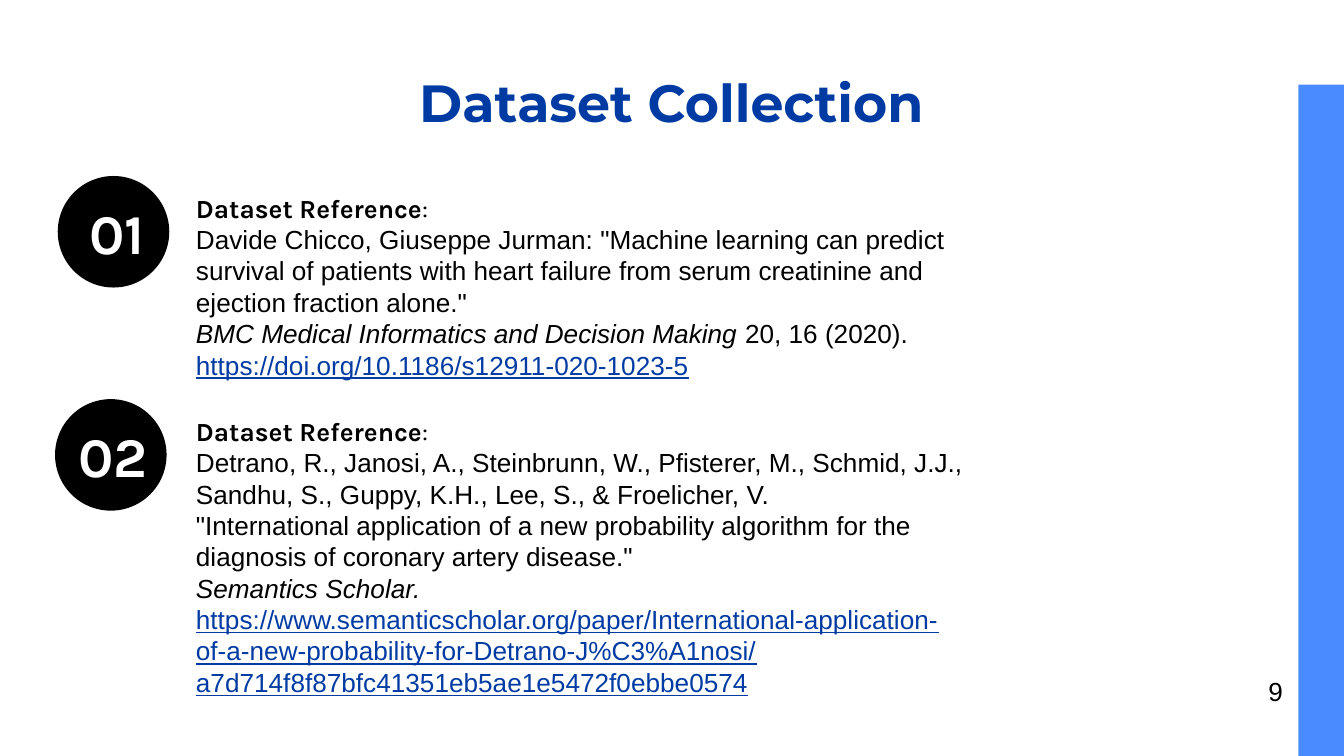
import pptx
import pptx.util
import pptx.dml.color
import pptx.enum.shapes
import pptx.enum.text
from dataclasses import dataclass

Inches = pptx.util.Inches
Align = pptx.enum.text.PP_ALIGN
Anchor = pptx.enum.text.MSO_ANCHOR
Kind = pptx.enum.shapes.MSO_SHAPE


@dataclass(frozen=True)
class Theme:
    """Colours, fonts and type sizes of the slide."""
    ink: str = "000000"
    navy: str = "003BA3"
    blue: str = "4A8CFF"
    white: str = "FFFFFF"
    head: str = "Montserrat"
    label: str = "Karla"
    body: str = "Arial"
    big: int = 30
    title: int = 28
    text: int = 14


THEME = Theme()

FIRST = [
    [("Davide Chicco, Giuseppe Jurman: \"Machine learning can predict survival of patients "
      "with heart failure from serum creatinine and ejection fraction alone.\"", "plain")],
    [("BMC Medical Informatics and Decision Making", "italic"), (" 20, 16 (2020).", "plain")],
    [("https://doi.org/10.1186/s12911-020-1023-5", "link")],
]
SECOND = [
    [("Detrano, R., Janosi, A., Steinbrunn, W., Pfisterer, M., Schmid, J.J., "
      "Sandhu, S., Guppy, K.H., Lee, S., & Froelicher, V.", "plain")],
    [("\"International application of a new probability algorithm for the diagnosis "
      "of coronary artery disease.\"", "plain")],
    [("Semantics Scholar.", "italic")],
    [("https://www.semanticscholar.org/paper/International-application-of-a-new-probability-"
      "for-Detrano-J%C3%A1nosi/a7d714f8f87bfc41351eb5ae1e5472f0ebbe0574", "link")],
]


def style(font, name, size, color, bold=False):
    """Set the face, size, colour and weight of a font."""
    font.name = name
    font.size = pptx.util.Pt(size)
    font.color.rgb = pptx.dml.color.RGBColor.from_string(color)
    font.bold = bold


def add_form(slide, kind, box, color):
    """Add a plain filled shape without line or shadow."""
    form = slide.shapes.add_shape(kind, *map(Inches, box))
    form.shadow.inherit = False
    form.fill.solid()
    form.fill.fore_color.rgb = pptx.dml.color.RGBColor.from_string(color)
    form.line.fill.background()
    return form


def add_frame(slide, box, anchor=Anchor.TOP, inset=0.05):
    """Add a wrapping text box and return its text frame."""
    frame = slide.shapes.add_textbox(*map(Inches, box)).text_frame
    frame.word_wrap = True
    frame.vertical_anchor = anchor
    frame.margin_left = frame.margin_right = Inches(0.1)
    frame.margin_top = frame.margin_bottom = Inches(inset)
    return frame


def add_line(frame, text, font, align=Align.LEFT):
    """Write one line of a single style, given as arguments for its font."""
    para = frame.paragraphs[0]
    para.text = text
    para.alignment = align
    style(para.font, *font)


def add_title(slide, box):
    """Place the centred heading."""
    frame = add_frame(slide, box, inset=0.1)
    add_line(frame, "Dataset Collection", (THEME.head, THEME.title, THEME.navy, True), Align.CENTER)


def add_badge(slide, box, shift, text):
    """Place a disc in the box with its number moved right by the shift."""
    left, top, _, _ = box
    add_form(slide, Kind.OVAL, box, THEME.ink)
    frame = add_frame(slide, (left + shift, top + 0.29, 0.82, 0.25), Anchor.MIDDLE, 0.1)
    add_line(frame, text, (THEME.label, THEME.big, THEME.white, True), Align.CENTER)


def add_source(slide, box, lines):
    """Place a labelled reference as one paragraph with line breaks."""
    para = add_frame(slide, box).paragraphs[0]
    for text, bold in (("Dataset Reference", True), (":", False)):
        run = para.add_run()
        run.text = text
        style(run.font, THEME.label, THEME.text, THEME.ink, bold)
    for line in lines:
        para.add_line_break()
        for text, look in line:
            run = para.add_run()
            run.text = text
            color = THEME.navy if look == "link" else THEME.ink
            style(run.font, THEME.body, THEME.text, color)
            run.font.italic = look == "italic"
            run.font.underline = look == "link"


def add_edge(slide, box):
    """Place the side bar, a wide bar turned upright to fill the box."""
    left, top, width, height = box
    flat = (left + (width - height) / 2, top + (height - width) / 2, height, width)
    add_form(slide, Kind.RECTANGLE, flat, THEME.blue).rotation = 90


def add_page(slide, box):
    """Place the page number."""
    add_line(add_frame(slide, box), "9", (THEME.body, THEME.text, THEME.ink))


def main():
    """Build the slide and save it."""
    deck = pptx.Presentation()
    deck.slide_width = Inches(10)
    deck.slide_height = deck.slide_width * 9 // 16
    slide = deck.slides.add_slide(deck.slide_layouts[6])
    add_edge(slide, (9.66, 0.63, 0.34, 5))
    rows = ((0.43, 1.31, 0.03, 1.51, FIRST), (0.41, 2.97, 0.02, 2.22, SECOND))
    for num, (left, top, shift, _, _) in enumerate(rows, 1):
        add_badge(slide, (left, top, 0.83, 0.83), shift, f"{num:02}")
    add_title(slide, (0.78, 0.42, 8.43, 0.71))
    for _, top, _, height, lines in rows:
        add_source(slide, (1.36, top + 0.07, 5.94, height), lines)
    add_page(slide, (9.34, 4.98, 0.3, 0.34))
    deck.save("out.pptx")


if __name__ == "__main__":
    main()
